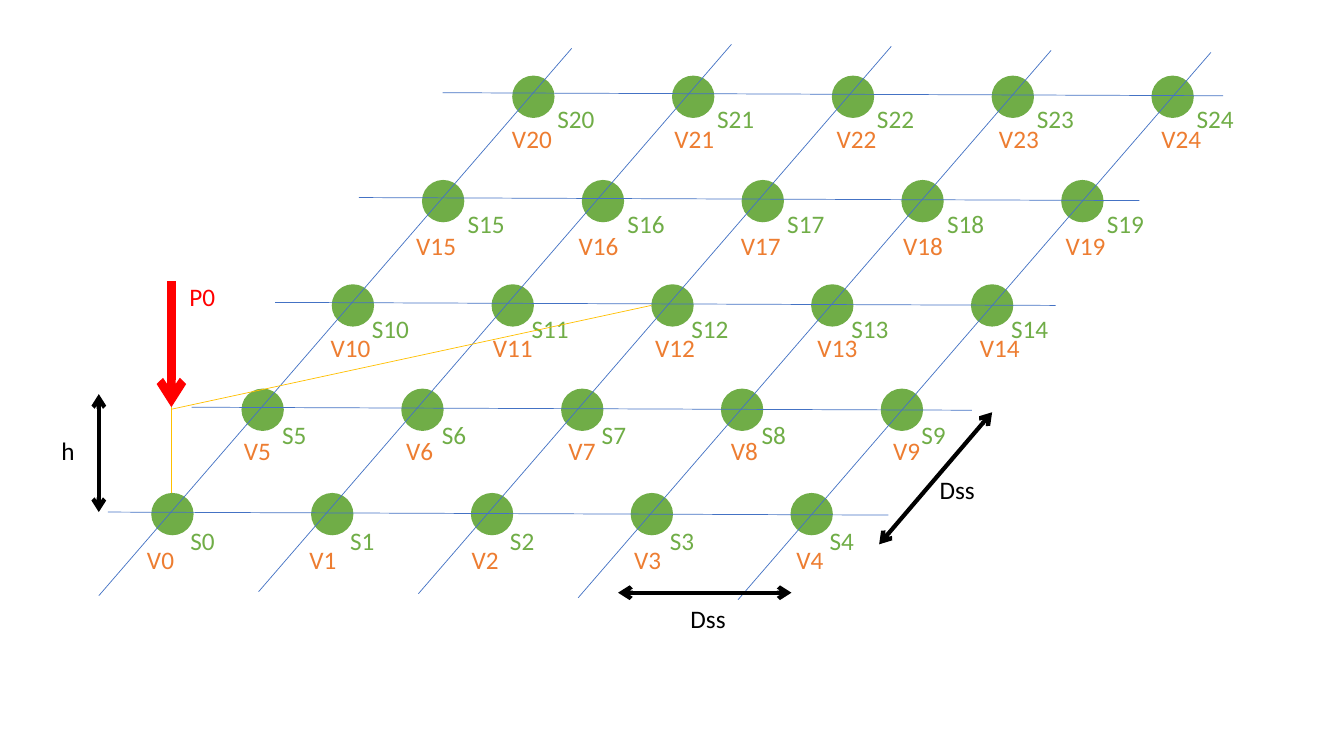
from itertools import product

from lxml import etree
from pptx import Presentation
from pptx.dml.color import RGBColor
from pptx.enum.shapes import MSO_CONNECTOR, MSO_SHAPE
from pptx.enum.text import MSO_AUTO_SIZE
from pptx.oxml.ns import qn
from pptx.util import Inches, Pt

STRAIGHT = MSO_CONNECTOR.STRAIGHT
OVAL = MSO_SHAPE.OVAL
FIT_SHAPE = MSO_AUTO_SIZE.SHAPE_TO_FIT_TEXT

GREEN, ORANGE, BLUE = "70AD47", "ED7D31", "4472C4"
RED, GOLD, BLACK = "FF0000", "FFC000", "000000"

GRID_SIZE = 5
COLUMN_STEP = 1.585
NODE_DIAMETER = 0.42
LABEL_WIDTH, LABEL_HEIGHT = 0.67, 0.4
COLUMN_LINE_BOTTOMS = [5.91, 5.87, 5.89, 5.93, 5.95]

LABEL_SETS = [
    ("S", GREEN, COLUMN_STEP,
     [(1.79, 5.16), (2.7, 4.11), (3.59, 3.06), (4.54, 2.02), (5.43, 0.98)]),
    ("V", ORANGE, 1.61,
     [(1.36, 5.35), (2.32, 4.27), (3.18, 3.25), (4.03, 2.24), (4.98, 1.17)]),
]
SOURCE_LINES = [
    ((1.7, 2.79), (1.7, 4.04), RED, 6, ["tailEnd"]),
    ((1.7, 4.04), (1.7, 4.89), GOLD, 0.5, []),
    ((1.7, 4.06), (6.46, 3.03), GOLD, 0.5, []),
]
DIMENSION_LINES = [
    ((0.98, 3.91), (0.98, 5.08)),
    ((6.13, 5.88), (7.85, 5.88)),
    ((8.72, 5.4), (9.84, 4.09)),
]
NOTES = [
    ("P0", 1.78, 2.74, LABEL_WIDTH, RED),
    ("h", 0.51, 4.27, 0.4, BLACK),
    ("Dss", 6.75, 5.94, 0.61, BLACK),
    ("Dss", 9.22, 4.66, 0.61, BLACK),
]


def color(value):
    return RGBColor.from_string(value)


def add_node(slide, left, top):
    node = slide.shapes.add_shape(
        OVAL, Inches(left), Inches(top), Inches(NODE_DIAMETER), Inches(NODE_DIAMETER))
    node.shadow.inherit = False
    node.fill.solid()
    node.fill.fore_color.rgb = color(GREEN)
    node.line.fill.background()


def add_line(slide, start, end, line_color, width, arrow_ends=()):
    connector = slide.shapes.add_connector(
        STRAIGHT, *(Inches(value) for value in (*start, *end)))
    connector.line.color.rgb = color(line_color)
    connector.line.width = Pt(width)
    outline = connector.line._get_or_add_ln()
    for arrow_end in arrow_ends:
        etree.SubElement(outline, qn("a:" + arrow_end), type="arrow")
    etree.SubElement(connector._element.spPr, qn("a:effectLst"))


def add_label(slide, text, left, top, width, text_color):
    label = slide.shapes.add_textbox(
        Inches(left), Inches(top), Inches(width), Inches(LABEL_HEIGHT))
    frame = label.text_frame
    frame.word_wrap = True
    frame.auto_size = FIT_SHAPE
    frame.text = text
    font = frame.paragraphs[0].runs[0].font
    font.name = "Calibri"
    font.size = Pt(18)
    font.color.rgb = color(text_color)


presentation = Presentation()
presentation.slide_width = Inches(13.33)
presentation.slide_height = Inches(7.5)
slide = presentation.slides.add_slide(presentation.slide_layouts[6])

for row, column in product(range(GRID_SIZE), repeat=2):
    add_node(slide, 1.5 + 0.895 * row + COLUMN_STEP * column, 4.89 - 1.035 * row)

for column, bottom in enumerate(COLUMN_LINE_BOTTOMS):
    left = 0.98 + COLUMN_STEP * column
    add_line(slide, (left, bottom), (left + 4.69, bottom - 5.43), BLUE, 0.5)

for row in range(GRID_SIZE):
    left, top = 1.07 + 0.83 * row, 5.08 - 1.04 * row
    add_line(slide, (left, top), (left + 7.74, top + 0.03), BLUE, 0.5)

for prefix, label_color, step, row_starts in LABEL_SETS:
    for row, (left, top) in enumerate(row_starts):
        for column in range(GRID_SIZE):
            add_label(slide, f"{prefix}{GRID_SIZE * row + column}",
                      left + step * column, top, LABEL_WIDTH, label_color)

for source_line in SOURCE_LINES:
    add_line(slide, *source_line)
for start, end in DIMENSION_LINES:
    add_line(slide, start, end, BLACK, 3, ["headEnd", "tailEnd"])
for note in NOTES:
    add_label(slide, *note)

presentation.save("out.pptx")
